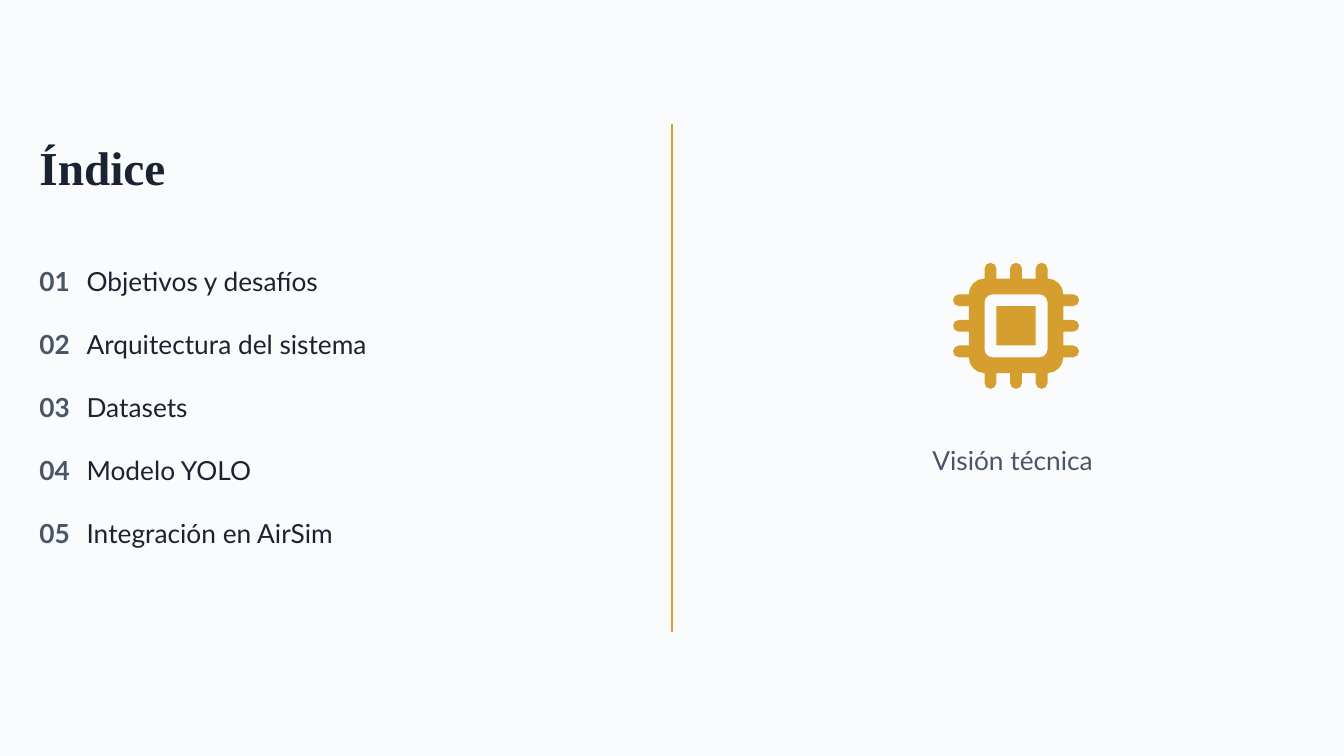
import math

import pptx
import pptx.dml.color
import pptx.enum.shapes
import pptx.enum.text
import pptx.oxml.ns
import pptx.util
from lxml import etree

PX = 9525  # EMU per px, 96 px to the inch
COLORS = {"paper": "FAFBFC", "ink": "1A2332", "slate": "4A5568", "gold": "D69E2E"}
TOPICS = [
    "Objetivos y desafíos",
    "Arquitectura del sistema",
    "Datasets",
    "Modelo YOLO",
    "Integración en AirSim",
]


def px(n):
    return pptx.util.Emu(round(n * PX))


def rgb(name):
    return pptx.dml.color.RGBColor.from_string(COLORS[name])


def write(sp, text, size, color, font="Lato", bold=False, align="LEFT", spacing=1.2):
    tf = sp.text_frame
    tf.word_wrap = True
    tf.auto_size = pptx.enum.text.MSO_AUTO_SIZE.NONE
    tf.vertical_anchor = pptx.enum.text.MSO_ANCHOR.MIDDLE
    tf.margin_left = tf.margin_right = tf.margin_top = tf.margin_bottom = 0
    p = tf.paragraphs[0]
    p.alignment = getattr(pptx.enum.text.PP_ALIGN, align)
    p.line_spacing = spacing
    p.space_before = pptx.util.Pt(0)
    r = p.add_run()
    r.text = text
    r.font.name = font
    r.font.size = pptx.util.Pt(size)
    r.font.bold = bold
    r.font.color.rgb = rgb(color)


def add_title(s, text, x, y, w, h):
    sp = s.shapes.title
    sp.left, sp.top, sp.width, sp.height = map(px, (x, y, w, h))
    write(sp, text, 36, "ink", "Times New Roman", bold=True, spacing=0.9)


def add_text(s, text, x, y, w, h, color, **style):
    sp = s.shapes.add_textbox(*map(px, (x, y, w, h)))
    write(sp, text, 20, color, **style)


def add_topics(s, x, y, step):
    for i, topic in enumerate(TOPICS):
        top = y + i * step
        add_text(s, f"{i + 1:02d}", x, top, 40, 37, "slate", bold=True)
        add_text(s, topic, x + 48, top, 370, 37, "ink")


def add_divider(s, x, top, bottom):
    line = s.shapes.add_connector(
        pptx.enum.shapes.MSO_CONNECTOR.STRAIGHT, px(x), px(top), px(x), px(bottom))
    line.line.color.rgb = rgb("gold")
    line.line.width = pptx.util.Pt(1.6)
    etree.SubElement(line._element.spPr, pptx.oxml.ns.qn("a:effectLst"))


def arc(cx, cy, r, start, sweep, steps):
    """Points of a clockwise arc, angles in degrees."""
    angles = [math.radians(start + sweep * i / steps) for i in range(steps + 1)]
    return [(cx + r * math.cos(a), cy + r * math.sin(a)) for a in angles]


def four_sides(side, center=64):
    """Repeat the top side of an outline at each quarter turn."""
    points = []
    for _ in range(4):
        points += side
        side = [(2 * center - y, x) for x, y in side]
    return points


def add_chip(s, left, top):
    """Draw a 128 px chip: body with pins, ring-shaped gap and core."""
    body_side = arc(32, 32, 16, 180, 90, 4)[:-1]
    for c in (38, 64, 90):
        body_side += [(c - 6, 16), *arc(c, 6, 6, 180, 180, 4), (c + 6, 16)]
    body = four_sides(body_side[:-1])
    gap = four_sides(arc(40, 40, 8, 180, 90, 3))[::-1]
    core = four_sides([(44, 44)])

    contours = [[(px(left + x), px(top + y)) for x, y in c] for c in (body, gap, core)]
    builder = s.shapes.build_freeform(*contours[0][0], scale=1.0)
    builder.add_line_segments(contours[0][1:], close=True)
    for contour in contours[1:]:
        builder.move_to(*contour[0])
        builder.add_line_segments(contour[1:], close=True)
    sp = builder.convert_to_shape()
    sp.shadow.inherit = False
    sp.fill.solid()
    sp.fill.fore_color.rgb = rgb("gold")
    sp.line.fill.background()


def main():
    prs = pptx.Presentation()
    prs.slide_width = pptx.util.Inches(14.22)
    prs.slide_height = pptx.util.Inches(8)
    s = prs.slides.add_slide(prs.slide_layouts[5])
    s.background.fill.solid()
    s.background.fill.fore_color.rgb = rgb("paper")

    add_title(s, "Índice", 40, 146, 613, 54)
    add_topics(s, 40, 264, 64)
    add_divider(s, 683, 126, 642)
    add_chip(s, 968, 267)
    add_text(s, "Visión técnica", 848, 427, 361, 75, "slate", align="CENTER")
    prs.save("out.pptx")


if __name__ == "__main__":
    main()
